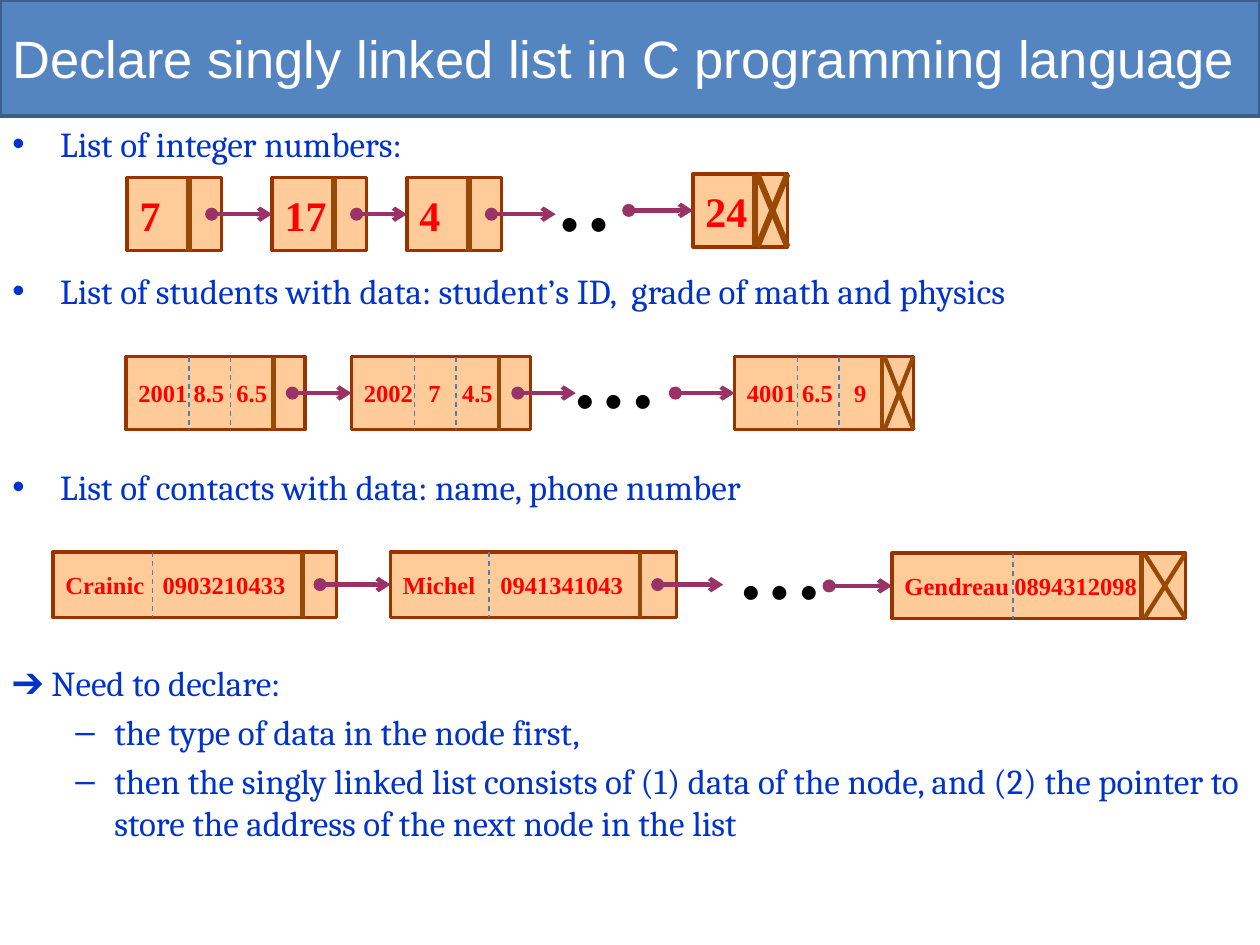
import pptx
import pptx.dml.color
import pptx.enum.dml
import pptx.enum.shapes
import pptx.enum.text
import pptx.oxml.ns
import pptx.util
from lxml import etree

deck = pptx.Presentation()
deck.slide_width = pptx.util.Inches(10)
deck.slide_height = pptx.util.Inches(7.5)
cell = deck.slide_width // 100
slide = deck.slides.add_slide(deck.slide_layouts[6])
shapes = slide.shapes
kind = pptx.enum.shapes.MSO_SHAPE.RECTANGLE
qn = pptx.oxml.ns.qn
tint = pptx.dml.color.RGBColor.from_string


def write(par, size, face, hue, bold=False):
    for run in par.runs:
        run.font.size = pptx.util.Pt(size)
        run.font.name = face
        run.font.bold = bold
        run.font.color.rgb = tint(hue)


def draw(x1, y1, x2, y2, hue, width, dash=False, arrow=False):
    ends = [int(v * cell) for v in (x1, y1, x2, y2)]
    line = shapes.add_connector(pptx.enum.shapes.MSO_CONNECTOR.STRAIGHT, *ends)
    line.line.color.rgb = tint(hue)
    line.line.width = pptx.util.Pt(width)
    if dash:
        line.line.dash_style = pptx.enum.dml.MSO_LINE.DASH
    if arrow:
        stroke = line.line._get_or_add_ln()
        etree.SubElement(stroke, qn("a:headEnd"), type="oval")
        etree.SubElement(stroke, qn("a:tailEnd"), type="arrow")
    etree.SubElement(line._element.spPr, qn("a:effectLst"))
    return line


bar = shapes.add_shape(kind, 0, 0, 100 * cell, int(9.2 * cell))
bar.shadow.inherit = False
bar.fill.solid()
bar.fill.fore_color.rgb = tint("5485C0")
bar.line.color.rgb = tint("3A5F8C")
bar.line.width = pptx.util.Pt(2)
bar.text_frame.word_wrap = True
bar.text_frame.vertical_anchor = pptx.enum.text.MSO_ANCHOR.MIDDLE
bar.text_frame.text = "Declare singly linked list in C programming language"
title = bar.text_frame.paragraphs[0]
title.alignment = pptx.enum.text.PP_ALIGN.LEFT
write(title, 30, "Arial", "FFFFFF")

body = shapes.add_textbox(0, int(9.2 * cell), 100 * cell, int(59.8 * cell))
body.text_frame.word_wrap = True
items = [
    ("List of integer numbers:", "•", 0, 0),
    ("List of students with data: student’s ID,  grade of math and physics", "•", 0, 60),
    ("List of contacts with data: name, phone number", "•", 0, 88),
    ("➔ Need to declare:", None, 0, 88),
    ("the type of data in the node first,", "–", 1, 4),
    ("then the singly linked list consists of (1) data of the node, and (2) the pointer to "
     "store the address of the next node in the list", "–", 1, 4),
]
body.text_frame.text = "\n".join(item[0] for item in items)
for par, (text, mark, level, gap) in zip(body.text_frame.paragraphs, items):
    par.level = level
    par.space_before = pptx.util.Pt(gap)
    if mark:
        props = par._p.get_or_add_pPr()
        left, hang = ((3.8, 3.8), (8.1, 3.1))[level]
        props.set("marL", str(int(left * cell)))
        props.set("indent", str(int(-hang * cell)))
        etree.SubElement(props, qn("a:buFont"), typeface="Arial")
        etree.SubElement(props, qn("a:buChar"), char=mark)
    write(par, 20, "Cambria", "0033CC")

# rows
lists = [
    dict(high=5.8, size=24, thick=3.5, split=4.9, dot=6.7, stop=44.1, lead=49.9,
         gap=("..", 43.1, 8.7, 7.5),
         nodes=[(10.1, 14.1, 7.5, "7", (), ()), (21.6, 14.1, 7.5, "17", (), ()),
                (32.3, 14.1, 7.5, "4", (), ()), (55, 13.8, 7.5, "24", (), ())]),
    dict(high=5.8, size=14, thick=2.5, split=11.7, dot=13.2, stop=45.7, lead=53.6,
         gap=("…", 44.6, 22.8, 7.5),
         nodes=[(x, 28.3, 14.2, text, (5, 8.3), (5.6, 9))
                for x, text in ((10, "2001\t8.5\t6.5"), (27.9, "2002\t7\t4.5"),
                                (58.3, "4001\t6.5\t9"))]),
    dict(high=5.2, size=14, thick=2.5, split=19.8, dot=21.2, stop=57.4, lead=65.8,
         gap=("…", 57.8, 37.9, 8.3),
         nodes=[(4.2, 43.8, 22.5, "Crainic\t0903210433", (7.9,), (12.6,)),
                (31, 43.8, 22.7, "Michel\t0941341043", (7.8,), (12.6,)),
                (70.8, 43.9, 23.3, "Gendreau\t0894312098", (9.6,), (13.6,))]),
]
for row in lists:
    high, thick = row["high"], row["thick"]
    last = len(row["nodes"]) - 1
    boxes = []
    for x, y, wide, text, cuts, tabs in row["nodes"]:
        box = shapes.add_shape(kind, *[int(v * cell) for v in (x, y, wide, high)])
        box.shadow.inherit = False
        box.fill.solid()
        box.fill.fore_color.rgb = tint("FFCC99")
        box.line.color.rgb = tint("993300")
        box.line.width = pptx.util.Pt(2)
        frame = box.text_frame
        frame.word_wrap = True
        frame.vertical_anchor = pptx.enum.text.MSO_ANCHOR.MIDDLE
        frame.text = text
        par = frame.paragraphs[0]
        par.alignment = pptx.enum.text.PP_ALIGN.LEFT
        if tabs:
            group = etree.SubElement(par._p.get_or_add_pPr(), qn("a:tabLst"))
            for tab in tabs:
                etree.SubElement(group, qn("a:tab"), pos=str(int(tab * cell)), algn="ctr")
        write(par, row["size"], "Times New Roman", "FF0000", True)
        for cut in cuts:
            draw(x + cut, y, x + cut, y + high, "4B7EBC", 0.75, dash=True)
        fold = x + row["split"]
        draw(fold, y, fold, y + high, "984807", thick)
        boxes.append(box)
    draw(fold + 0.2, y, x + wide, y + high, "984807", thick)
    draw(x + wide, y, fold + 0.2, y + high, "984807", thick)
    for i, (x, y, *rest) in enumerate(row["nodes"]):
        mid = y + high / 2
        start = row["lead"] if i == last else x + row["dot"]
        end = row["stop"] if i == last - 1 else row["nodes"][min(i + 1, last)][0]
        link = draw(start, mid, end, mid, "993366", 2.5, arrow=True)
        if i != last - 1:
            link.end_connect(boxes[min(i + 1, last)], 1)
    text, x, y, wide = row["gap"]
    dots = shapes.add_textbox(*[int(v * cell) for v in (x, y, wide, 12.1)])
    dots.text_frame.word_wrap = True
    dots.text_frame.text = text
    write(dots.text_frame.paragraphs[0], 66, "Calibri", "000000")

deck.save("out.pptx")
